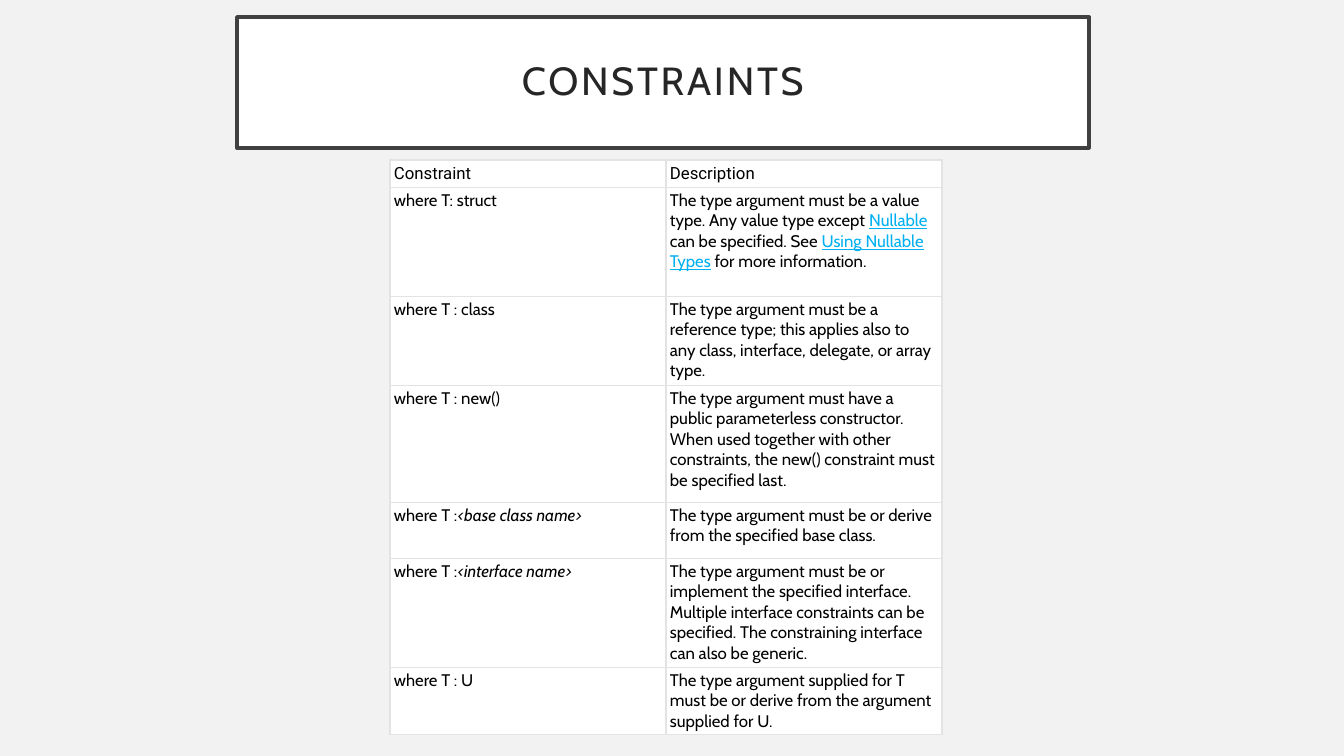
import dataclasses

import pptx
import pptx.dml.color
import pptx.enum.shapes
import pptx.enum.text
import pptx.oxml
import pptx.oxml.ns
import pptx.util

EMU_PER_PX = 914400 / 100.8


@dataclasses.dataclass(frozen=True)
class Theme:
    background: str = "F2F2F2"
    panel: str = "FFFFFF"
    frame: str = "404040"
    title: str = "262626"
    text: str = "000000"
    link: str = "00B0F0"
    grid: str = "E3E3E3"
    body_font: str = "Cabin"
    header_font: str = "Roboto"
    title_size: int = 28
    table_size: int = 12
    frame_width: float = 2.5
    outer_border: float = 1
    inner_border: float = 0.6


# Each cell is a list of (text, style) runs
HEADER = [[("Constraint", "")], [("Description", "")]]
CONSTRAINTS = [
    [[("where T: struct", "")],
     [("The type argument must be a value type. Any value type except ", ""),
      ("Nullable", "link"), (" can be specified. See ", ""),
      ("Using Nullable Types", "link"), (" for more information.", "")]],
    [[("where T : class", "")],
     [("The type argument must be a reference type; this applies also to "
       "any class, interface, delegate, or array type.", "")]],
    [[("where T : new()", "")],
     [("The type argument must have a public parameterless constructor. "
       "When used together with other constraints, the new() constraint "
       "must be specified last.", "")]],
    [[("where T :", ""), ("<base class name>", "italic")],
     [("The type argument must be or derive from the specified base class.", "")]],
    [[("where T :", ""), ("<interface name>", "italic")],
     [("The type argument must be or implement the specified interface. "
       "Multiple interface constraints can be specified. The constraining "
       "interface can also be generic.", "")]],
    [[("where T : U", "")],
     [("The type argument supplied for T must be or derive from the "
       "argument supplied for U.", "")]],
]
ROW_HEIGHTS = [27, 109, 89, 117, 56, 109, 68]
COLUMN_WIDTH = 276


def px(length):
    return pptx.util.Emu(round(length * EMU_PER_PX))


def rgb(color):
    return pptx.dml.color.RGBColor.from_string(color)


class SlideBuilder:
    def __init__(self, slide, theme):
        self.slide = slide
        self.theme = theme

    def background(self):
        fill = self.slide.background.fill
        fill.solid()
        fill.fore_color.rgb = rgb(self.theme.background)

    def format_run(self, run, font, size, color):
        run.font.name = font
        run.font.size = pptx.util.Pt(size)
        run.font.color.rgb = rgb(color)

    def title(self, text, left, top, width, height):
        theme = self.theme
        shape = self.slide.shapes.add_shape(
            pptx.enum.shapes.MSO_SHAPE.RECTANGLE,
            px(left), px(top), px(width), px(height))
        shape.shadow.inherit = False
        shape.fill.solid()
        shape.fill.fore_color.rgb = rgb(theme.panel)
        shape.line.color.rgb = rgb(theme.frame)
        shape.line.width = pptx.util.Pt(theme.frame_width)
        frame = shape.text_frame
        frame.word_wrap = True
        frame.vertical_anchor = pptx.enum.text.MSO_ANCHOR.MIDDLE
        frame.margin_left = frame.margin_right = px(20)
        frame.margin_top = frame.margin_bottom = px(20)
        frame.text = text
        paragraph = frame.paragraphs[0]
        paragraph.alignment = pptx.enum.text.PP_ALIGN.CENTER
        paragraph.line_spacing = 0.9
        run = paragraph.runs[0]
        self.format_run(run, theme.body_font, theme.title_size, theme.title)
        run.font._element.set("spc", "200")

    def border(self, cell, side, width):
        line = pptx.oxml.parse_xml(
            f'<a:ln{side} {pptx.oxml.ns.nsdecls("a")} w="{pptx.util.Pt(width)}">'
            f'<a:solidFill><a:srgbClr val="{self.theme.grid}"/></a:solidFill>'
            f'</a:ln{side}>')
        cell._tc.get_or_add_tcPr().append(line)

    def cell(self, cell, runs, is_header, is_last):
        theme = self.theme
        cell.margin_left = cell.margin_right = px(4)
        cell.margin_top = cell.margin_bottom = px(3)
        anchor = pptx.enum.text.MSO_ANCHOR
        cell.vertical_anchor = anchor.BOTTOM if is_header else anchor.TOP
        # Borders come before the fill in the cell properties
        outer, inner = theme.outer_border, theme.inner_border
        self.border(cell, "L", outer)
        self.border(cell, "R", outer)
        self.border(cell, "T", outer if is_header else inner)
        self.border(cell, "B", outer if is_last else inner)
        cell.fill.solid()
        cell.fill.fore_color.rgb = rgb(theme.panel)
        font = theme.header_font if is_header else theme.body_font
        paragraph = cell.text_frame.paragraphs[0]
        for text, style in runs:
            run = paragraph.add_run()
            run.text = text
            is_link = style == "link"
            self.format_run(run, font, theme.table_size,
                            theme.link if is_link else theme.text)
            run.font.underline = is_link
            run.font.italic = style == "italic"

    def table(self, rows, left, top, column_width, row_heights):
        column_count = len(rows[0])
        table = self.slide.shapes.add_table(
            len(rows), column_count, px(left), px(top),
            px(column_width * column_count), px(sum(row_heights))).table
        table.horz_banding = False
        for column in table.columns:
            column.width = px(column_width)
        for row_index, (cells, height) in enumerate(zip(rows, row_heights)):
            table.rows[row_index].height = px(height)
            for column_index, runs in enumerate(cells):
                self.cell(table.cell(row_index, column_index), runs,
                          row_index == 0, row_index == len(rows) - 1)


def main():
    presentation = pptx.Presentation()
    presentation.slide_width = px(1344)
    presentation.slide_height = px(756)
    slide = presentation.slides.add_slide(presentation.slide_layouts[6])
    builder = SlideBuilder(slide, Theme())

    # Background and title
    builder.background()
    builder.title("CONSTRAINTS", 237, 17, 852, 131)

    # Constraint table
    builder.table([HEADER] + CONSTRAINTS, 390, 160, COLUMN_WIDTH, ROW_HEIGHTS)

    presentation.save("out.pptx")


if __name__ == "__main__":
    main()
